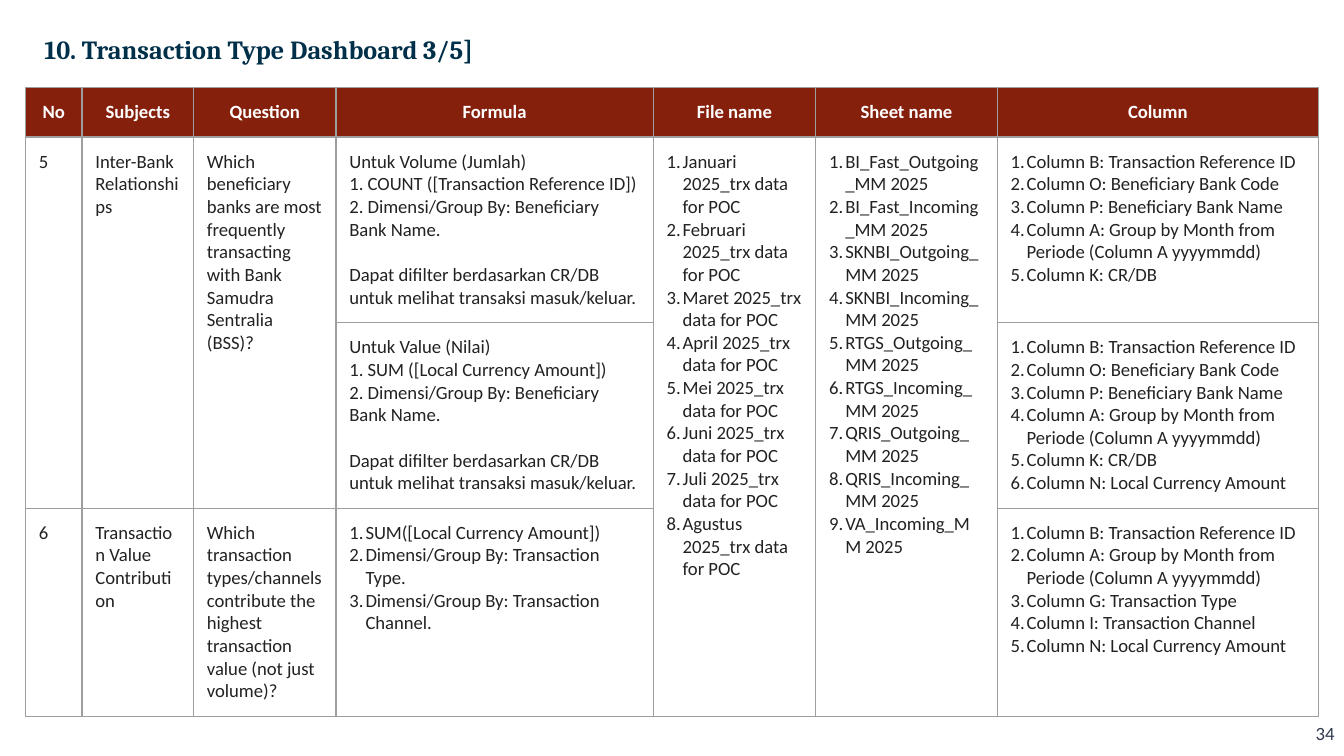
from lxml import etree
from pptx import Presentation
from pptx import util as u
from pptx.dml.color import RGBColor
from pptx.enum import text
from pptx.oxml.ns import qn

HUES = {"title": "002F4A", "head": "85200C", "white": "FFFFFF",
        "body": "222222", "line": "9E9E9E", "page": "31394D"}


def style(para, size, hue, font="Calibri", bold=False):
    for run in para.runs:
        run.font.size = u.Pt(size)
        run.font.name = font
        run.font.bold = bold
        run.font.color.rgb = RGBColor.from_string(HUES[hue])


def add_label(left, top, width, height, words, anchor):
    """Add a one-line text box and return its paragraph."""
    frame = slide.shapes.add_textbox(
        u.Inches(left), u.Inches(top), u.Inches(width), u.Inches(height)).text_frame
    frame.word_wrap = True
    frame.auto_size = text.MSO_AUTO_SIZE.NONE
    frame.vertical_anchor = anchor
    frame.margin_left = frame.margin_right = u.Inches(0.07)
    frame.margin_top = frame.margin_bottom = u.Inches(0.04)
    frame.text = words
    return frame.paragraphs[0]


deck = Presentation()
deck.slide_width = u.Inches(10)
deck.slide_height = u.Inches(10) * 9 // 16
slide = deck.slides.add_slide(deck.slide_layouts[6])

title = add_label(0.26, 0.15, 9.44, 0.46, "10. Transaction Type Dashboard 3/5]",
                  text.MSO_ANCHOR.MIDDLE)
title.line_spacing = 0.9
style(title, 14, "title", "Cambria", True)

heads = ["No", "Subjects", "Question", "Formula", "File name", "Sheet name", "Column"]
widths = [0.42, 0.83, 1.06, 2.36, 1.21, 1.35, 2.39]
heights = [0.37, 1.38, 1.38, 1.55]

months = ["Januari", "Februari", "Maret", "April", "Mei", "Juni", "Juli", "Agustus"]
files = [f"{month} 2025_trx data for POC" for month in months]
sheets = [f"{kind}_{way}_MM 2025" for kind in ["BI_Fast", "SKNBI", "RTGS", "QRIS"]
          for way in ["Outgoing", "Incoming"]] + ["VA_Incoming_MM 2025"]

ref = "Column B: Transaction Reference ID"
period = "Column A: Group by Month from Periode (Column A yyyymmdd)"
amount = "Column N: Local Currency Amount"
banks = [ref, "Column O: Beneficiary Bank Code", "Column P: Beneficiary Bank Name",
         period, "Column K: CR/DB"]
group = "2. Dimensi/Group By: Beneficiary Bank Name."
note = "Dapat difilter berdasarkan CR/DB untuk melihat transaksi masuk/keluar."

# Cell contents by (row, column); numbered lists are kept apart from plain text.
plain = {
    (1, 0): ["5"],
    (1, 1): ["Inter-Bank Relationships"],
    (1, 2): ["Which beneficiary banks are most frequently transacting "
             "with Bank Samudra Sentralia (BSS)?"],
    (1, 3): ["Untuk Volume (Jumlah)", "1. COUNT ([Transaction Reference ID])", group, note],
    (2, 3): ["Untuk Value (Nilai)", "1. SUM ([Local Currency Amount])", group, note],
    (3, 0): ["6"],
    (3, 1): ["Transaction Value Contribution"],
    (3, 2): ["Which transaction types/channels contribute the highest "
             "transaction value (not just volume)?"],
}
listed = {
    (1, 4): files,
    (1, 5): sheets,
    (1, 6): banks,
    (2, 6): banks + [amount],
    (3, 3): ["SUM([Local Currency Amount])", "Dimensi/Group By: Transaction Type.",
             "Dimensi/Group By: Transaction Channel."],
    (3, 6): [ref, period, "Column G: Transaction Type",
             "Column I: Transaction Channel", amount],
}
cells = {(0, col): [head] for col, head in enumerate(heads)} | plain | listed

table = slide.shapes.add_table(
    len(heights), len(widths), u.Inches(0.19), u.Inches(0.65),
    u.Inches(sum(widths)), u.Inches(sum(heights))).table
table.first_row = table.horz_banding = False
for col, width in zip(table.columns, widths):
    col.width = u.Inches(width)
for row, height in zip(table.rows, heights):
    row.height = u.Inches(height)

for r in range(len(heights)):
    for c in range(len(widths)):
        cell = table.cell(r, c)
        cell.margin_left = cell.margin_right = u.Inches(0.1)
        cell.margin_top = cell.margin_bottom = u.Inches(0.1)
        props = cell._tc.get_or_add_tcPr()
        for side in ["lnL", "lnR", "lnT", "lnB"]:
            line = etree.SubElement(props, qn(f"a:{side}"), w=str(u.Pt(0.75)))
            fill = etree.SubElement(line, qn("a:solidFill"))
            etree.SubElement(fill, qn("a:srgbClr"), val=HUES["line"])
        cell.fill.solid()
        cell.fill.fore_color.rgb = RGBColor.from_string(HUES["white" if r else "head"])
        if (r, c) not in cells:
            continue
        cell.text_frame.text = "\n".join(cells[r, c])
        for para in cell.text_frame.paragraphs:
            style(para, 10, "body" if r else "white", bold=r == 0)
            if r == 0:
                para.alignment = text.PP_ALIGN.CENTER
            if para.text == note:
                para.space_before = u.Pt(12.2)
            if (r, c) in listed:
                form = para._p.get_or_add_pPr()
                form.set("marL", str(u.Inches(0.12)))
                form.set("indent", str(u.Inches(-0.13)))
                tint = etree.SubElement(form, qn("a:buClr"))
                etree.SubElement(tint, qn("a:srgbClr"), val=HUES["body"])
                etree.SubElement(form, qn("a:buAutoNum"), type="arabicPeriod")

for c, last in [(0, 2), (1, 2), (2, 2), (4, 3), (5, 3)]:
    table.cell(1, c).merge(table.cell(last, c))

page = add_label(7.28, 5.33, 2.72, 0.3, "34", text.MSO_ANCHOR.TOP)
page.alignment = text.PP_ALIGN.RIGHT
style(page, 10, "page")

deck.save("out.pptx")
